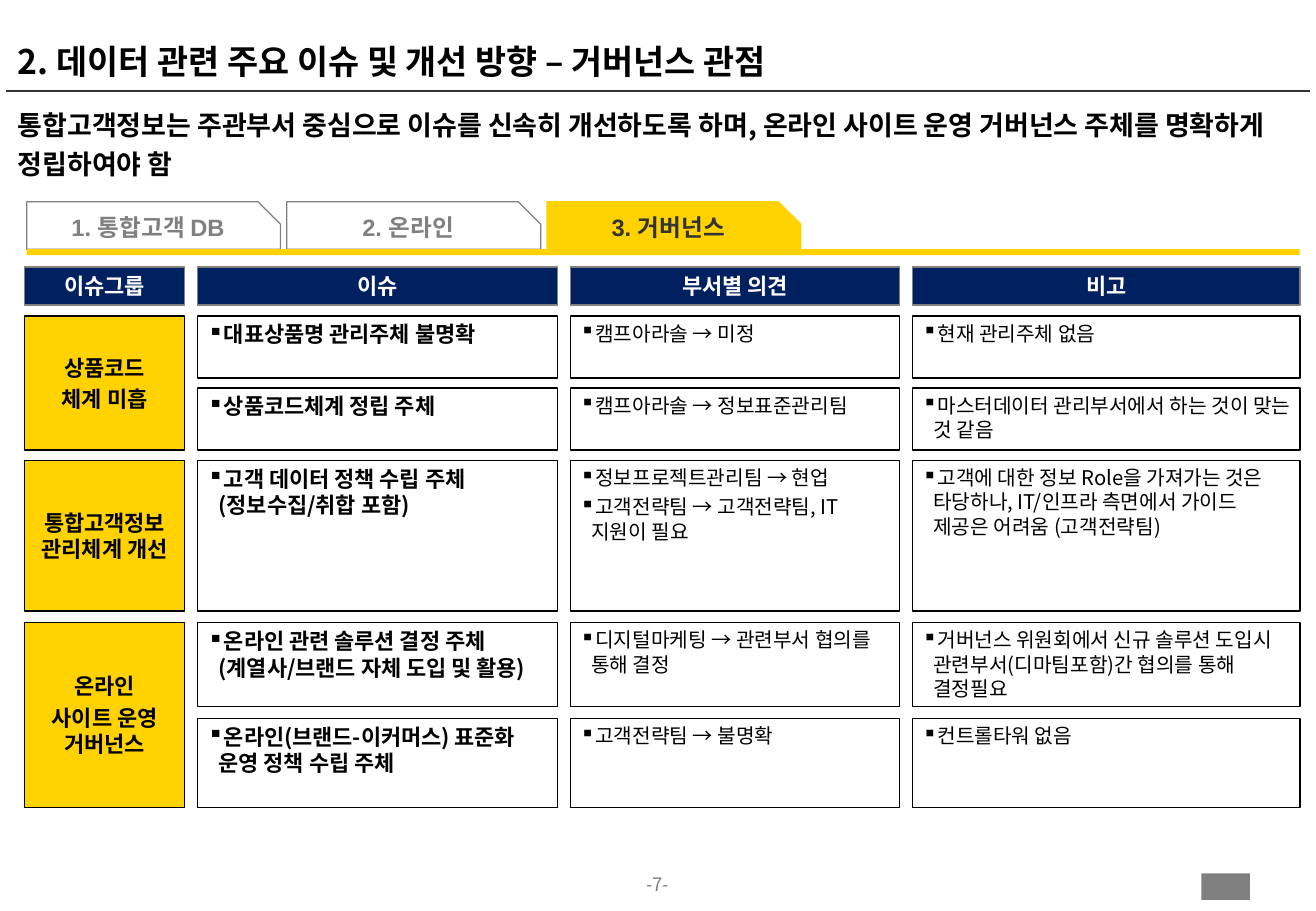
import dataclasses
import typing

import lxml.etree
import pptx
import pptx.dml.color
import pptx.enum.shapes
import pptx.enum.text
import pptx.oxml.ns
import pptx.util

Pt = pptx.util.Pt
Kind = pptx.enum.shapes.MSO_SHAPE
Align = pptx.enum.text.PP_ALIGN
Anchor = pptx.enum.text.MSO_ANCHOR
qn = pptx.oxml.ns.qn


@dataclasses.dataclass(frozen=True)
class Theme:
    font: str = "Noto Sans CJK KR"
    tab_font: str = "Arial"
    black: str = "000000"
    white: str = "FFFFFF"
    dark: str = "333333"
    gray: str = "808080"
    navy: str = "002060"
    gold: str = "FFD200"
    title: float = 20
    lead: float = 16
    tab: float = 14
    head: float = 13
    note: float = 12
    page: float = 11


THEME = Theme()


class Box(typing.NamedTuple):
    left: float
    top: float
    width: float
    height: float


class Column(typing.NamedTuple):
    head: str
    width: float


class Tab(typing.NamedTuple):
    text: str
    active: bool = False


class Row(typing.NamedTuple):
    top: float
    height: float
    cells: list[list[str]]


class Group(typing.NamedTuple):
    label: list[str]
    rows: list[Row]


COLUMNS = [Column("이슈그룹", 95.2), Column("이슈", 213.1),
           Column("부서별 의견", 195.1), Column("비고", 229.7)]
LEFT, GAP = 14.4, 7.7
HEAD_TOP, HEAD_HIGH = 158.3, 22.5

TABS = [Tab("1. 통합고객 DB"), Tab("2. 온라인"), Tab("3. 거버넌스", True)]
TAB_BOX, TAB_STEP = Box(15.8, 119.6, 150.5, 28.1), 154.2

GROUPS = [
    Group(["상품코드", "체계 미흡"], [
        Row(187.3, 36.7, [["대표상품명 관리주체 불명확"], ["캠프아라솔 → 미정"],
                          ["현재 관리주체 없음"]]),
        Row(230, 36.7, [["상품코드체계 정립 주체"], ["캠프아라솔 → 정보표준관리팀"],
                        ["마스터데이터 관리부서에서 하는 것이 맞는 것 같음"]]),
    ]),
    Group(["통합고객정보 관리체계 개선"], [
        Row(272.9, 89.3, [
            ["고객 데이터 정책 수립 주체\n(정보수집/취합 포함)"],
            ["정보프로젝트관리팀 → 현업", "고객전략팀 → 고객전략팀, IT 지원이 필요"],
            ["고객에 대한 정보 Role을 가져가는 것은 타당하나, IT/인프라 측면에서 "
             "가이드 제공은 어려움 (고객전략팀)"]]),
    ]),
    Group(["온라인", "사이트 운영 거버넌스"], [
        Row(369.2, 49.8, [
            ["온라인 관련 솔루션 결정 주체\n(계열사/브랜드 자체 도입 및 활용)"],
            ["디지털마케팅 → 관련부서 협의를 통해 결정"],
            ["거버넌스 위원회에서 신규 솔루션 도입시 관련부서(디마팀포함)간 "
             "협의를 통해 결정필요"]]),
        Row(426, 52.5, [["온라인(브랜드-이커머스) 표준화 운영 정책 수립 주체"],
                        ["고객전략팀 → 불명확"], ["컨트롤타워 없음"]]),
    ]),
]


def tint(code: str) -> pptx.dml.color.RGBColor:
    return pptx.dml.color.RGBColor.from_string(code)


def write(shape, lines: list[str], *, size: float, color: str = THEME.black,
          bold: bool = False, font: str = THEME.font, align=Align.LEFT,
          anchor=Anchor.TOP, inset=(7.2, 3.6, 7.2, 3.6), bullet: bool = False,
          pitch: float | None = None, before: float = 0, after: float = 0) -> None:
    """Fill a shape with one paragraph a line; inset is left, top, right, bottom."""
    frame = shape.text_frame
    frame.word_wrap = True
    frame.vertical_anchor = anchor
    (frame.margin_left, frame.margin_top,
     frame.margin_right, frame.margin_bottom) = map(Pt, inset)
    for index, line in enumerate(lines):
        para = frame.add_paragraph() if index else frame.paragraphs[0]
        para.text = line
        para.alignment = align
        if pitch:
            para.line_spacing = pitch
        if before and index:
            para.space_before = Pt(before)
        if after:
            para.space_after = Pt(after)
        if bullet:
            props = para._p.get_or_add_pPr()
            props.set("marL", str(Pt(6.5)))
            props.set("indent", str(-Pt(6.5)))
            lxml.etree.SubElement(props, qn("a:buChar")).set("char", "▪")
        for run in para.runs:
            run.font.size = Pt(size)
            run.font.bold = bold
            run.font.color.rgb = tint(color)
            run.font.name = font
            east = lxml.etree.SubElement(run._r.get_or_add_rPr(), qn("a:ea"))
            east.set("typeface", THEME.font)
        for mark in para._p.findall(qn("a:br")):
            lxml.etree.SubElement(mark, qn("a:rPr")).set("sz", str(int(size * 100)))


def draw(slide, box: Box, *, fill: str | None = None, line: str | None = None,
         kind=Kind.RECTANGLE):
    shape = slide.shapes.add_shape(kind, *map(Pt, box))
    shape.shadow.inherit = False
    if fill:
        shape.fill.solid()
        shape.fill.fore_color.rgb = tint(fill)
    else:
        shape.fill.background()
    if line:
        shape.line.color.rgb = tint(line)
        shape.line.width = Pt(0.75)
    else:
        shape.line.fill.background()
    return shape


def label(slide, box: Box, text: str, **style) -> None:
    write(slide.shapes.add_textbox(*map(Pt, box)), [text], **style)


def rule(slide, left: float, right: float, top: float) -> None:
    line = slide.shapes.add_connector(pptx.enum.shapes.MSO_CONNECTOR.STRAIGHT,
                                      Pt(left), Pt(top), Pt(right), Pt(top))
    line.line.color.rgb = tint(THEME.dark)
    line.line.width = Pt(1)
    lxml.etree.SubElement(line._element.spPr, qn("a:effectLst"))


def frame_page(slide) -> None:
    """Draw the page number, the corner mark, the title and the lead."""
    label(slide, Box(359.3, 517.7, 61.2, 15.8), "-7-", size=THEME.page,
          color=THEME.gray, align=Align.CENTER, inset=(0, 0, 0, 0))
    draw(slide, Box(712.1, 517.7, 28.8, 15.8), fill=THEME.gray)
    rule(slide, 3.6, 776.2, 54)
    label(slide, Box(3.6, 3.6, 772, 48.2),
          "2. 데이터 관련 주요 이슈 및 개선 방향 – 거버넌스 관점",
          size=THEME.title, bold=True, anchor=Anchor.BOTTOM, pitch=0.85)
    label(slide, Box(3.6, 56.9, 772.6, 40.3),
          "통합고객정보는 주관부서 중심으로 이슈를 신속히 개선하도록 하며, "
          "온라인 사이트 운영 거버넌스 주체를 명확하게 정립하여야 함",
          size=THEME.lead, bold=True, pitch=1.2, after=9)


def draw_tabs(slide) -> None:
    for index, tab in enumerate(TABS):
        box = TAB_BOX._replace(left=TAB_BOX.left + index * TAB_STEP)
        shape = draw(slide, box, kind=Kind.SNIP_1_RECTANGLE,
                     fill=THEME.gold if tab.active else THEME.white,
                     line=THEME.gold if tab.active else THEME.gray)
        shape.adjustments[0] = 0.475
        write(shape, [tab.text], size=THEME.tab, bold=True, font=THEME.tab_font,
              color=THEME.dark if tab.active else THEME.gray,
              align=Align.CENTER, inset=(2.9, 0, 2.9, 5.8))
    draw(slide, Box(15.8, 147.7, 754.6, 3.6), fill=THEME.gold)


def draw_grid(slide) -> None:
    lefts = [LEFT + sum(col.width + GAP for col in COLUMNS[:index])
             for index in range(len(COLUMNS))]
    for left, col in zip(lefts, COLUMNS):
        shape = draw(slide, Box(left, HEAD_TOP, col.width, HEAD_HIGH),
                     fill=THEME.navy, line=THEME.gray)
        write(shape, [col.head], size=THEME.head, color=THEME.white, bold=True,
              align=Align.CENTER, anchor=Anchor.MIDDLE)
    for group in GROUPS:
        top, last = group.rows[0].top, group.rows[-1]
        shape = draw(slide, Box(LEFT, top, COLUMNS[0].width,
                                last.top + last.height - top),
                     fill=THEME.gold, line=THEME.black)
        write(shape, group.label, size=THEME.head, bold=True, align=Align.CENTER,
              anchor=Anchor.MIDDLE, inset=(2.9, 2.9, 2.9, 2.9), before=3)
        for row in group.rows:
            for index, lines in enumerate(row.cells, 1):
                issue = index == 1
                shape = draw(slide, Box(lefts[index], row.top,
                                        COLUMNS[index].width, row.height),
                             line=THEME.black)
                write(shape, lines, size=THEME.head if issue else THEME.note,
                      bold=issue, bullet=True, before=3,
                      inset=(5.8, 2.9, 2.9, 2.9))


def main() -> None:
    deck = pptx.Presentation()
    deck.slide_width, deck.slide_height = Pt(780), Pt(540)
    slide = deck.slides.add_slide(deck.slide_layouts[6])
    frame_page(slide)
    draw_tabs(slide)
    draw_grid(slide)
    deck.save("out.pptx")


if __name__ == "__main__":
    main()
